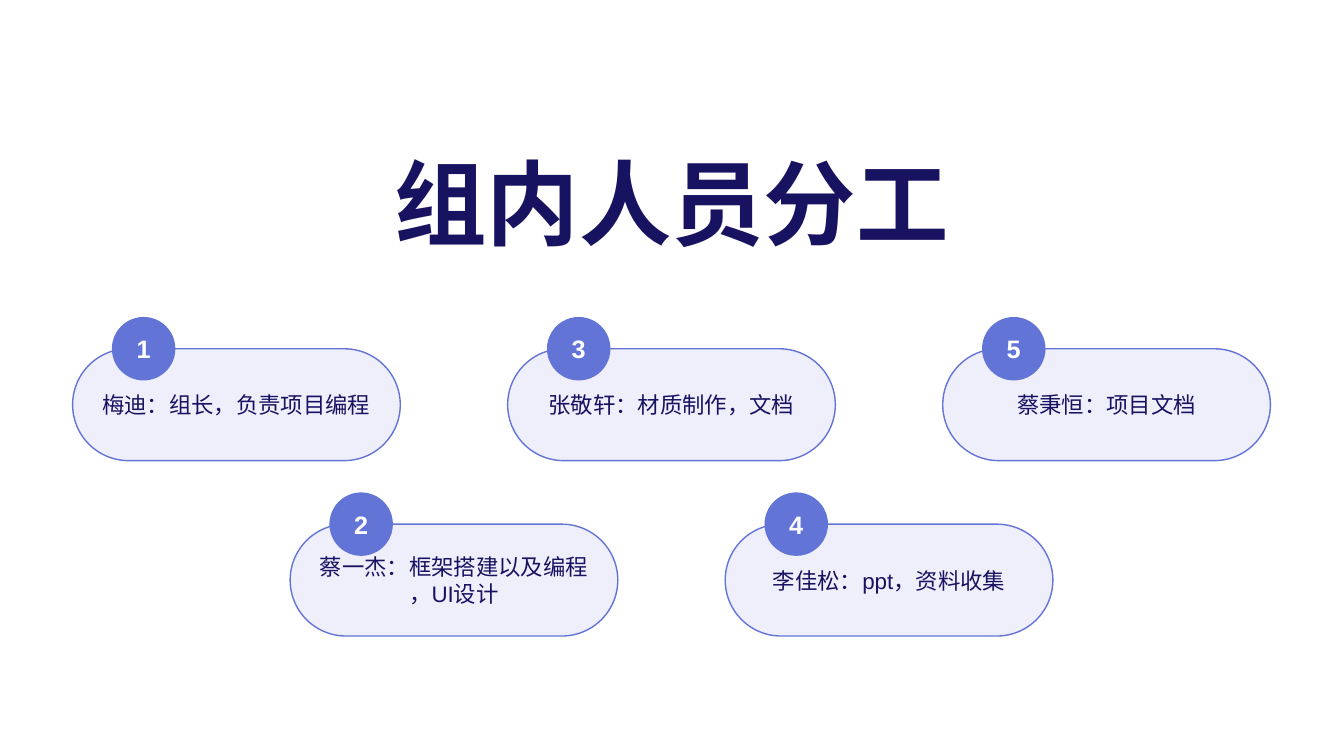
import dataclasses

import lxml.etree
import pptx
import pptx.dml.color
import pptx.enum.lang
import pptx.enum.shapes
import pptx.enum.text
import pptx.oxml.ns
import pptx.util

Inches = pptx.util.Inches
SHAPE = pptx.enum.shapes.MSO_SHAPE
ANCHOR = pptx.enum.text.MSO_ANCHOR


@dataclasses.dataclass(frozen=True)
class Theme:
    font: str = "Arial"
    ink: str = "181361"
    accent: str = "6374D7"
    tint: str = "635ADF"
    paper: str = "FFFFFF"
    tint_percent: int = 10
    title_size: int = 66
    duty_size: int = 16
    number_size: int = 18


def rgb(code):
    return pptx.dml.color.RGBColor.from_string(code)


def add_tag(parent, tag, **attributes):
    return lxml.etree.SubElement(parent, pptx.oxml.ns.qn(tag), attributes)


class SlideBuilder:
    def __init__(self, slide, theme):
        self.slide = slide
        self.theme = theme
        slide.background.fill.solid()
        slide.background.fill.fore_color.rgb = rgb(theme.paper)

    def add_lines(self, shape, lines, size, color, bold=False, anchor=ANCHOR.MIDDLE, spacing=None):
        frame = shape.text_frame
        frame.word_wrap = True
        frame.vertical_anchor = anchor
        for index, line in enumerate(lines):
            paragraph = frame.add_paragraph() if index else frame.paragraphs[0]
            paragraph.alignment = pptx.enum.text.PP_ALIGN.CENTER
            paragraph.line_spacing = spacing
            run = paragraph.add_run()
            run.text = line
            run.font.name = self.theme.font
            run.font.size = pptx.util.Pt(size)
            run.font.bold = bold
            run.font.color.rgb = rgb(color)
            run.font.language_id = pptx.enum.lang.MSO_LANGUAGE_ID.SIMPLIFIED_CHINESE
            add_tag(run.font._element, "a:ea", typeface=self.theme.font)

    def title(self, text, left, top, width, height):
        heading = self.slide.shapes.add_textbox(
            Inches(left), Inches(top), Inches(width), Inches(height))
        self.add_lines(heading, [text], self.theme.title_size, self.theme.ink,
                       bold=True, anchor=ANCHOR.BOTTOM, spacing=0.9)

    def block(self, kind, left, top, width, height, fill):
        shape = self.slide.shapes.add_shape(
            kind, Inches(left), Inches(top), Inches(width), Inches(height))
        shape.shadow.inherit = False
        shape.fill.solid()
        shape.fill.fore_color.rgb = rgb(fill)
        return shape

    def pill(self, lines, left, top, width, height):
        pill = self.block(SHAPE.ROUNDED_RECTANGLE, left, top, width, height, self.theme.tint)
        pill.adjustments[0] = 0.5
        tint = pill._element.spPr.find(".//" + pptx.oxml.ns.qn("a:srgbClr"))
        add_tag(tint, "a:alpha", val=str(self.theme.tint_percent * 1000))
        pill.line.color.rgb = rgb(self.theme.accent)
        pill.line.width = pptx.util.Pt(1)
        self.add_lines(pill, lines, self.theme.duty_size, self.theme.ink)

    def badge(self, number, left, top, diameter):
        badge = self.block(SHAPE.OVAL, left, top, diameter, diameter, self.theme.accent)
        badge.line.fill.background()
        self.add_lines(badge, [str(number)], self.theme.number_size, self.theme.paper, bold=True)


DUTIES = [
    ["梅迪：组长，负责项目编程"],
    ["蔡一杰：框架搭建以及编程", "，UI设计"],
    ["张敬轩：材质制作，文档"],
    ["李佳松：ppt，资料收集"],
    ["蔡秉恒：项目文档"],
]
MARGIN = 0.72
CONTENT_WIDTH = 11.88
PILL_WIDTH, PILL_HEIGHT = 3.25, 1.11
BADGE_SIZE, BADGE_INDENT = 0.63, 0.39
ROW_TOPS = (3.46, 5.2)
STEP = (CONTENT_WIDTH - PILL_WIDTH) / (len(DUTIES) - 1)

presentation = pptx.Presentation()
presentation.slide_width = Inches(13.33)
presentation.slide_height = Inches(7.5)
builder = SlideBuilder(presentation.slides.add_slide(presentation.slide_layouts[6]), Theme())

builder.title("组内人员分工", MARGIN, 1.5, CONTENT_WIDTH, 1.11)
for index, duty in enumerate(DUTIES):
    left = MARGIN + index * STEP
    top = ROW_TOPS[index % 2]
    builder.pill(duty, left, top, PILL_WIDTH, PILL_HEIGHT)
    builder.badge(index + 1, left + BADGE_INDENT, top - BADGE_SIZE / 2, BADGE_SIZE)

presentation.save("out.pptx")
